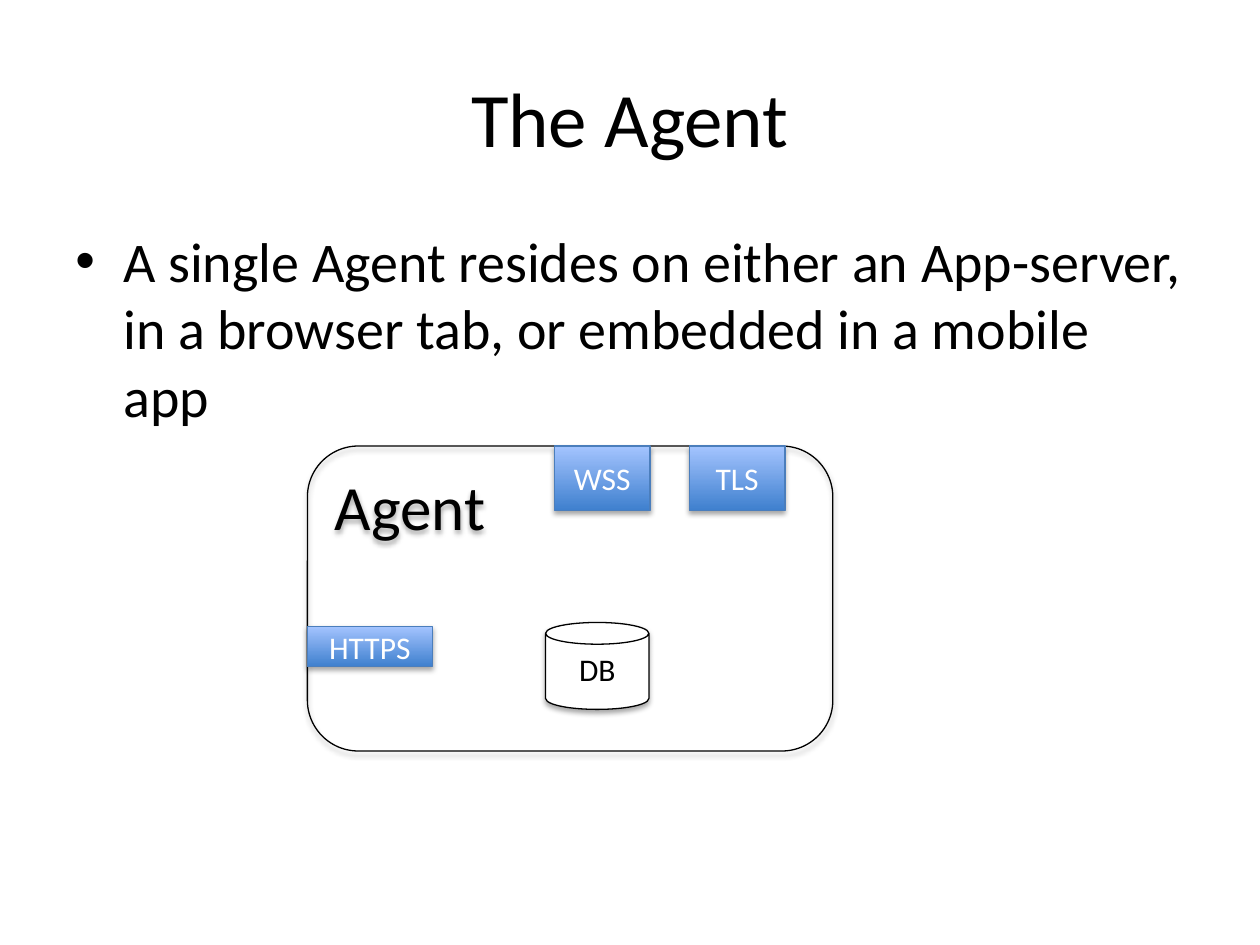
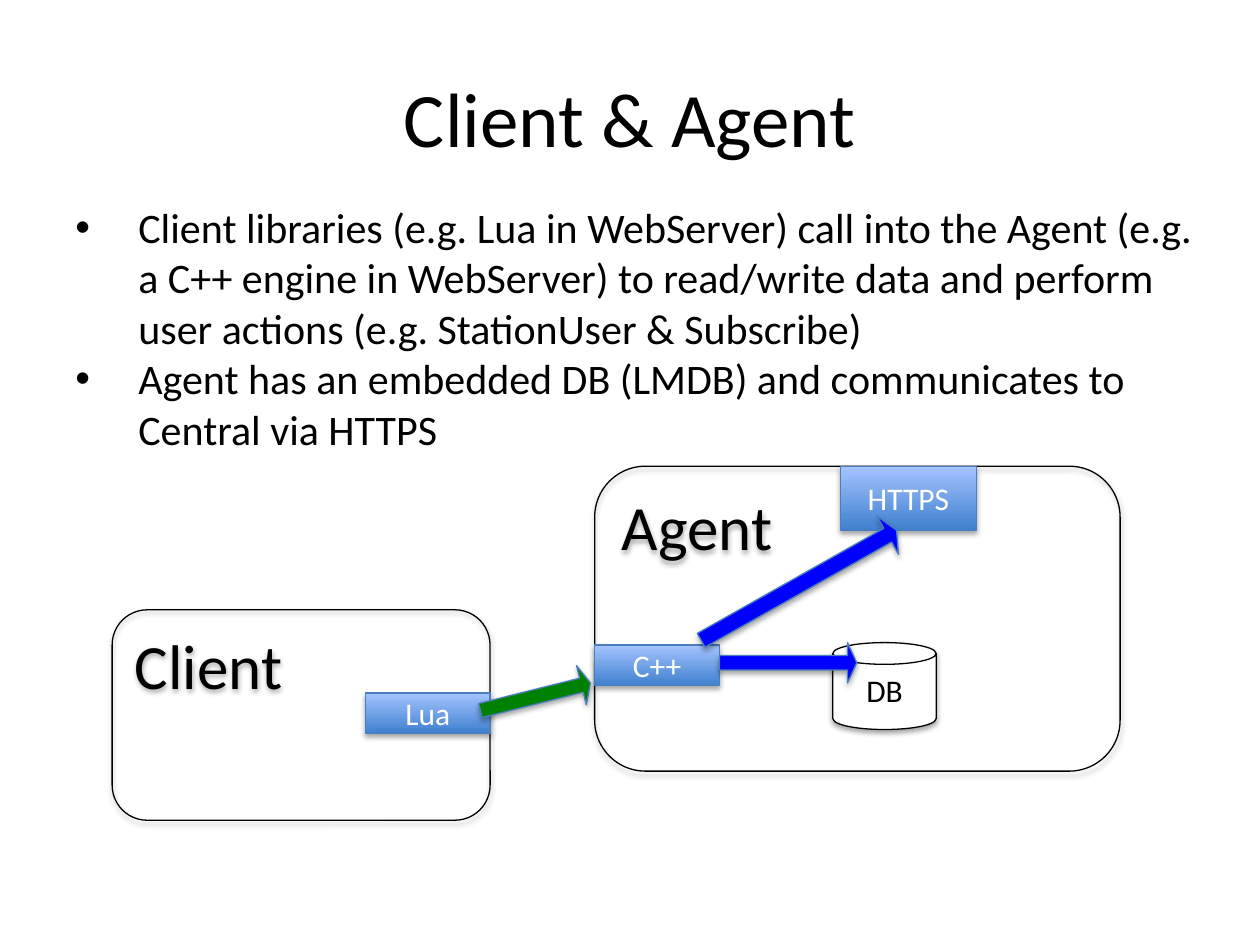
from dataclasses import dataclass

from lxml import etree
from pptx import Presentation
from pptx.dml.color import RGBColor
from pptx.enum.shapes import MSO_SHAPE
from pptx.enum.text import MSO_ANCHOR, PP_ALIGN
from pptx.oxml.ns import qn
from pptx.util import Inches, Pt

ROUND = MSO_SHAPE.ROUNDED_RECTANGLE
RECT = MSO_SHAPE.RECTANGLE
CAN = MSO_SHAPE.CAN
ARROW = MSO_SHAPE.RIGHT_ARROW
LEFT, MID = PP_ALIGN.LEFT, PP_ALIGN.CENTER
TOP, CENTER = MSO_ANCHOR.TOP, MSO_ANCHOR.MIDDLE

FONT = "Calibri"
HEX = {
    "ink": "000000",
    "white": "FFFFFF",
    "deep": "3F80CE",
    "pale": "A4C4FF",
    "edge": "4B7EBC",
    "green": "008000",
    "blue": "0000FF",
}
SIDE = (0.99, 0.32)


@dataclass
class Port:
    label: str
    x: float
    y: float
    w: float
    h: float


@dataclass
class Arrow:
    x: float
    y: float
    w: float
    h: float
    turn: float
    color: str


def rgb(name: str) -> RGBColor:
    return RGBColor.from_string(HEX[name])


def write(shape, *lines: str, size: float, color: str = "ink", align=LEFT,
          anchor=TOP, indent: float = 0) -> None:
    frame = shape.text_frame
    frame.word_wrap = True
    frame.vertical_anchor = anchor
    frame.text = "\n".join(lines)
    for para in frame.paragraphs:
        para.alignment = align
        font = para.runs[0].font
        font.name, font.size = FONT, Pt(size)
        font.color.rgb = rgb(color)
        if indent:
            props = para._p.get_or_add_pPr()
            props.set("marL", str(Inches(indent)))
            props.set("indent", str(-Inches(indent)))
            etree.SubElement(props, qn("a:buFont"), typeface="Arial")
            etree.SubElement(props, qn("a:buChar"), char="•")


def shade(shape) -> None:
    effects = etree.SubElement(shape._element.spPr, qn("a:effectLst"))
    shadow = etree.SubElement(
        effects, qn("a:outerShdw"), blurRad=str(Pt(3.1)), dist=str(Pt(1.8)),
        dir="5400000", rotWithShape="0")
    tint = etree.SubElement(shadow, qn("a:srgbClr"), val=HEX["ink"])
    etree.SubElement(tint, qn("a:alpha"), val="35000")


def draw(slide, kind, x: float, y: float, w: float, h: float,
         line: str = "ink", fill: str = ""):
    shape = slide.shapes.add_shape(
        kind, Inches(x), Inches(y), Inches(w), Inches(h))
    if fill:
        shape.fill.solid()
        shape.fill.fore_color.rgb = rgb(fill)
    else:
        shape.fill.background()
    shape.line.color.rgb = rgb(line)
    shape.line.width = Pt(0.75)
    shade(shape)
    return shape


def add_port(slide, port: Port, x: float, y: float) -> None:
    shape = draw(slide, RECT, x + port.x, y + port.y, port.w, port.h, "edge")
    shape.fill.gradient()
    shape.fill.gradient_angle = 90
    for stop, place, name in zip(
            shape.fill.gradient_stops, (0, 1), ("deep", "pale")):
        stop.position = place
        stop.color.rgb = rgb(name)
    write(shape, port.label, size=18, color="white", align=MID, anchor=CENTER)


def add_box(slide, name: str, x: float, y: float, w: float, h: float,
            ports: list[Port]) -> None:
    write(draw(slide, ROUND, x, y, w, h), name, size=36)
    for port in ports:
        add_port(slide, port, x, y)


def add_agent(slide, x: float, y: float, ports: list[Port]) -> None:
    add_box(slide, "Agent", x, y, 4.17, 2.42, ports)
    store = draw(slide, CAN, x + 1.89, y + 1.4, 0.82, 0.69, fill="white")
    write(store, "DB", size=18, align=MID)


def add_arrow(slide, arrow: Arrow) -> None:
    shape = draw(slide, ARROW, arrow.x, arrow.y, arrow.w, arrow.h,
                 "edge", arrow.color)
    shape.adjustments[0] = 0.36
    shape.adjustments[1] = 0.23
    shape.rotation = arrow.turn


def add_page(deck, title: str):
    slide = deck.slides.add_slide(deck.slide_layouts[5])
    head = slide.shapes.title
    head.left, head.top = Inches(0.5), Inches(0.3)
    head.width, head.height = Inches(9), Inches(1.25)
    write(head, title, size=44, align=MID, anchor=CENTER)
    return slide


def add_list(slide, *lines: str, y: float, w: float, h: float, size: float,
             indent: float) -> None:
    box = slide.shapes.add_textbox(
        Inches(0.5), Inches(y), Inches(w), Inches(h))
    write(box, *lines, size=size, indent=indent)


def show_agent(deck) -> None:
    slide = add_page(deck, "The Agent")
    add_list(
        slide,
        "A single Agent resides on either an App-server, in a browser tab, "
        "or embedded in a mobile app",
        y=1.75, w=9, h=4.95, size=32, indent=0.38)
    add_agent(slide, 2.44, 3.54, [
        Port("HTTPS", 0, 1.43, *SIDE),
        Port("WSS", 1.96, 0, 0.76, 0.51),
        Port("TLS", 3.03, 0, 0.76, 0.51),
    ])


def show_client(deck) -> None:
    slide = add_page(deck, "Client & Agent")
    add_list(
        slide,
        "Client libraries (e.g. Lua in WebServer) call into the Agent "
        "(e.g. a C++ engine in WebServer) to read/write data and perform "
        "user actions (e.g. StationUser & Subscribe)",
        "Agent has an embedded DB (LMDB) and communicates to Central "
        "via HTTPS",
        y=1.55, w=9.17, h=2.12, size=24, indent=0.5)
    add_agent(slide, 4.72, 3.7, [
        Port("C++", 0, 1.42, *SIDE),
        Port("HTTPS", 1.95, 0, 1.08, 0.51),
    ])
    add_box(slide, "Client", 0.89, 4.84, 3, 1.67,
            [Port("Lua", 2.01, 0.66, *SIDE)])
    for arrow in (
        Arrow(3.8, 5.37, 0.9, 0.32, 345.9, "green"),
        Arrow(5.71, 5.1, 1.09, 0.32, 0, "blue"),
        Arrow(5.45, 4.47, 1.78, 0.35, 330.6, "blue"),
    ):
        add_arrow(slide, arrow)


def main() -> None:
    deck = Presentation()
    deck.slide_width, deck.slide_height = Inches(10), Inches(7.5)
    show_agent(deck)
    show_client(deck)
    deck.save("out.pptx")


if __name__ == "__main__":
    main()
